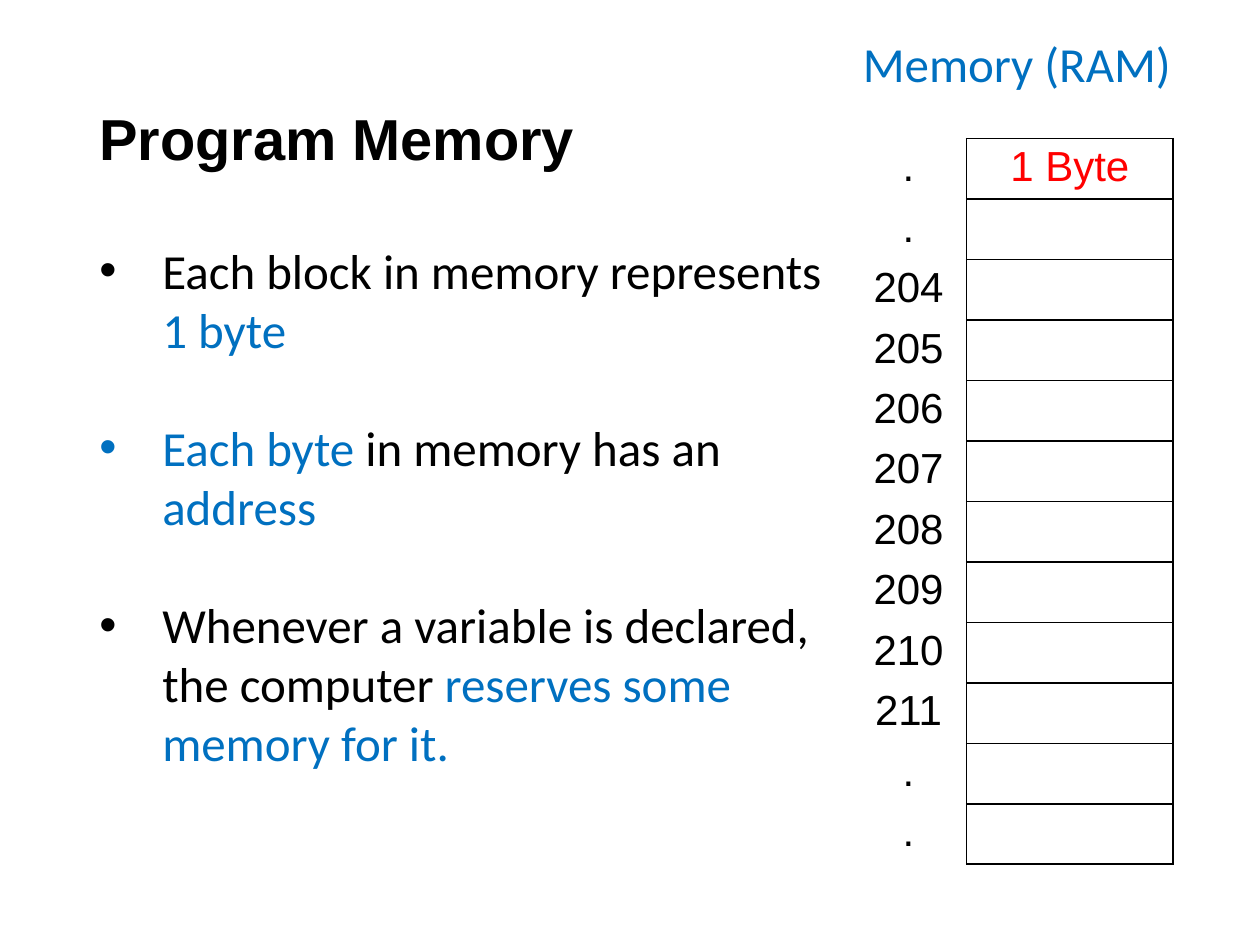
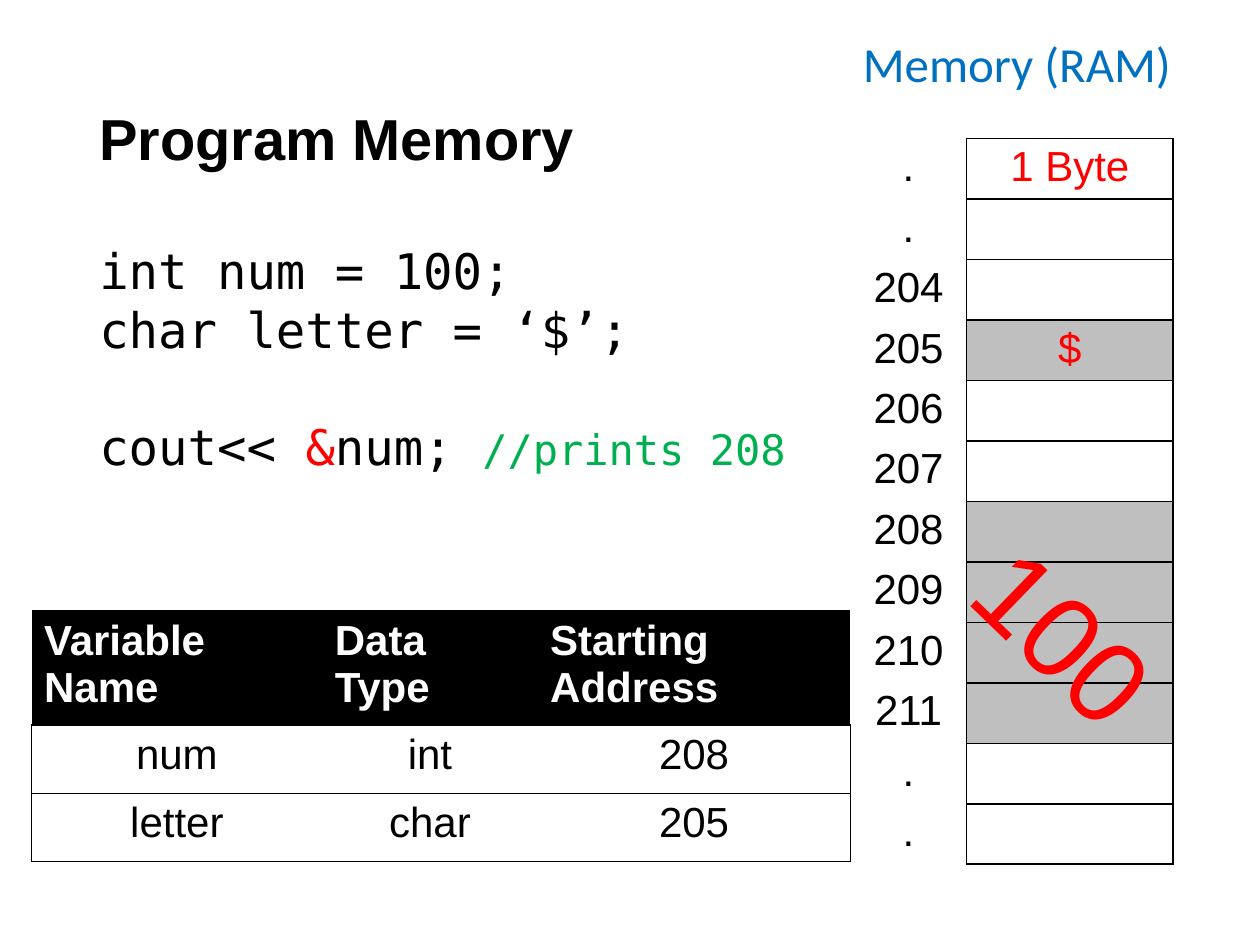
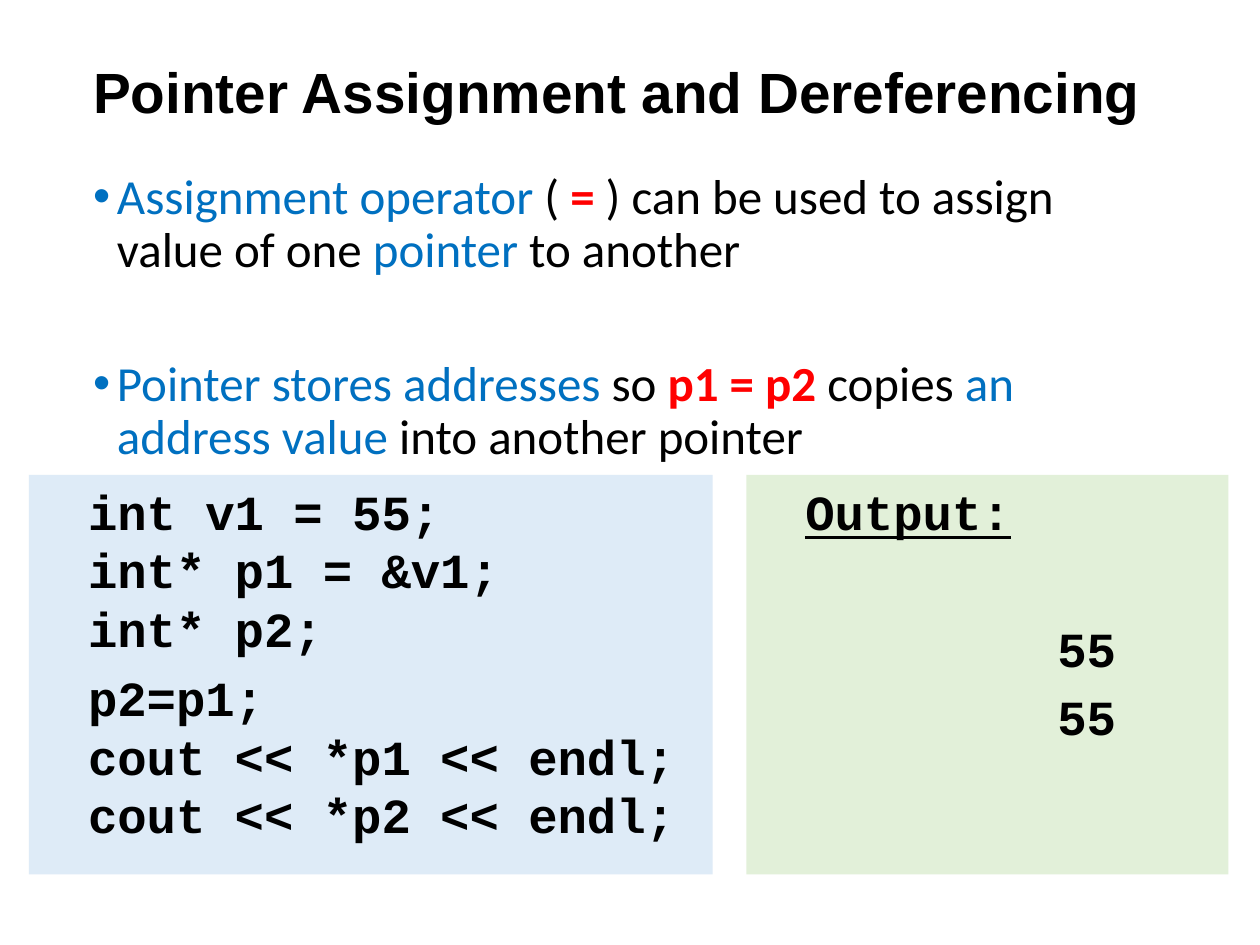
from dataclasses import dataclass
from typing import Optional

from pptx import Presentation
from pptx.dml.color import RGBColor
from pptx.enum.shapes import MSO_SHAPE
from pptx.enum.text import MSO_ANCHOR, PP_ALIGN
from pptx.oxml.ns import qn
from pptx.util import Inches, Pt
from lxml.etree import SubElement

BLACK = RGBColor(0x00, 0x00, 0x00)
WHITE = RGBColor(0xFF, 0xFF, 0xFF)
BLUE = RGBColor(0x00, 0x70, 0xC0)
RED = RGBColor(0xFF, 0x00, 0x00)
GREEN = RGBColor(0x00, 0xB0, 0x50)
GREY = RGBColor(0xBF, 0xBF, 0xBF)
PALE_BLUE = RGBColor(0xDE, 0xEB, 0xF7)
PALE_GREEN = RGBColor(0xE2, 0xF0, 0xD9)

HEADING_FONT = "Arial"
BODY_FONT = "Calibri"
CODE_FONT = "Courier New"
MONO_FONT = "DejaVu Sans Mono"

GRID = Inches(0.1)
COLUMNS, ROWS = 100, 75
BODY_SIZE = 28
TABLE_SIZE = 24
CODE_LINE = Pt(33.6)
CODE_GAP = 5.6
NO_TABLE_STYLE = "{2D5ABB26-0587-4C30-8999-92F81FD0307C}"
MEMORY_TITLE_BOX = (6.9, 4, 86.2, 14.5)
ADDRESSES = [".", ".", *map(str, range(204, 212)), ".", "."]


@dataclass
class Span:
    text: str
    color: RGBColor = BLACK
    bold: Optional[bool] = None
    size: Optional[float] = None


def grid(*cells):
    return [round(cell * GRID) for cell in cells]


def write(paragraph, spans, font_name, size, bold=None, align=PP_ALIGN.LEFT,
          before=0, line=None, indent=0, hanging=0):
    paragraph.alignment = align
    paragraph.space_before = Pt(before)
    if line:
        paragraph.line_spacing = line
    properties = paragraph._p.get_or_add_pPr()
    properties.set("marL", str(Inches(indent)))
    properties.set("indent", str(-Inches(hanging)))
    if hanging:
        SubElement(properties, qn("a:buFont"), typeface="Arial")
        SubElement(properties, qn("a:buChar"), char="•")
    paragraph.font.name = font_name
    paragraph.font.size = Pt(size)
    paragraph.font.bold = bold
    for span in spans:
        for index, text in enumerate(span.text.split("\n")):
            if index:
                paragraph.add_line_break()
            run = paragraph.add_run()
            run.text = text
            run.font.color.rgb = span.color
            if span.bold is not None:
                run.font.bold = span.bold
            if span.size:
                run.font.size = Pt(span.size)


def next_paragraph(frame, index):
    return frame.add_paragraph() if index else frame.paragraphs[0]


def add_text(slide, box, paragraphs, font_name, size, gaps=None, wrap=True,
             anchor=MSO_ANCHOR.TOP, **style):
    shape = slide.shapes.add_textbox(*grid(*box))
    frame = shape.text_frame
    frame.word_wrap = wrap
    frame.vertical_anchor = anchor
    gaps = gaps or [0] * len(paragraphs)
    for index, (spans, before) in enumerate(zip(paragraphs, gaps)):
        write(next_paragraph(frame, index), spans, font_name, size,
              before=before, **style)
    return shape


def add_title(slide, box, text, size):
    add_text(slide, box, [[Span(text)]], HEADING_FONT, size,
             anchor=MSO_ANCHOR.MIDDLE, bold=True, line=0.9)


def add_plain_table(slide, box, widths, heights):
    table = slide.shapes.add_table(len(heights), len(widths), *grid(*box)).table
    table.first_row = table.horz_banding = False
    table._tbl.tblPr.find(qn("a:tableStyleId")).text = NO_TABLE_STYLE
    for column, width in zip(table.columns, grid(*widths)):
        column.width = width
    for row, height in zip(table.rows, grid(*heights)):
        row.height = height
    return table


def format_cell(cell, text, color=BLACK, fill=None, borders="", width=1,
                bold=False, align=PP_ALIGN.CENTER):
    if text:
        write(cell.text_frame.paragraphs[0], [Span(text, color)], HEADING_FONT,
              TABLE_SIZE, bold=bold, align=align)
    properties = cell._tc.get_or_add_tcPr()
    for side in borders:
        line = SubElement(properties, qn(f"a:ln{side}"), w=str(Pt(width)))
        line_fill = SubElement(line, qn("a:solidFill"))
        SubElement(line_fill, qn("a:srgbClr"), val=str(BLACK))
    if fill is None:
        cell.fill.background()
    else:
        cell.fill.solid()
        cell.fill.fore_color.rgb = fill


def add_memory(slide, box, contents, reserved=()):
    left, top, width, height = box
    add_text(slide, (left, top - 8.8, width + 1.2, 5.7),
             [[Span("Memory (RAM)", BLUE)]], BODY_FONT, BODY_SIZE, wrap=False)
    address_width = 0.36 * width
    table = add_plain_table(slide, box, (address_width, width - address_width),
                            [height / len(ADDRESSES)] * len(ADDRESSES))
    for row, address in enumerate(ADDRESSES):
        address_cell, block = table.cell(row, 0), table.cell(row, 1)
        for cell in (address_cell, block):
            cell.margin_top = cell.margin_bottom = Inches(0.04)
        format_cell(address_cell, address, borders="R")
        format_cell(block, contents.get(row), RED,
                    GREY if address in reserved else None, "LRTB")


def add_variables(slide, box, records):
    left, top, width, height = box
    widths = [share * width for share in (0.355, 0.263, 0.382)]
    heights = [share * height for share in (0.456, 0.272, 0.272)]
    table = add_plain_table(slide, box, widths, heights)
    last = len(widths) - 1
    for row, record in enumerate(records):
        for column, text in enumerate(record):
            cell = table.cell(row, column)
            if row == 0:
                format_cell(cell, text, WHITE, BLACK, "TB", bold=True,
                            align=PP_ALIGN.LEFT)
            else:
                sides = ("L" if column == 0 else "") + ("R" if column == last else "")
                format_cell(cell, text, borders=sides + "TB", width=0.5)


def add_code_panel(slide, box, fill, lines):
    panel = slide.shapes.add_shape(MSO_SHAPE.RECTANGLE, *grid(*box))
    panel.shadow.inherit = False
    panel.fill.solid()
    panel.fill.fore_color.rgb = fill
    panel.line.fill.background()
    frame = panel.text_frame
    frame.word_wrap = True
    frame.vertical_anchor = MSO_ANCHOR.TOP
    for index, (text, indent, before) in enumerate(lines):
        write(next_paragraph(frame, index), [Span(text)], CODE_FONT, BODY_SIZE,
              bold=True, before=before, line=CODE_LINE, indent=indent)
    return panel


def build_memory_slide(slide, box):
    add_title(slide, MEMORY_TITLE_BOX, "Program Memory", 33)
    add_memory(slide, box, {0: "1 Byte"})
    add_text(slide, (6.9, 18.6, 60.6, 43.4), [
        [Span("Each block in memory represents "), Span("1 byte", BLUE)],
        [Span("Each byte ", BLUE), Span("in memory has an "), Span("address", BLUE)],
        [Span("Whenever a variable is declared, the computer "),
         Span("reserves some memory for it.", BLUE)],
    ], BODY_FONT, BODY_SIZE, gaps=(0, 34, 34), indent=0.5, hanging=0.5)


def build_address_slide(slide, box):
    add_title(slide, MEMORY_TITLE_BOX, "Program Memory", 33)
    add_memory(slide, box, {0: "1 Byte", ADDRESSES.index("205"): "$"},
               ("205", "208", "209", "210", "211"))
    add_text(slide, (6.9, 18.6, 62.3, 19.9), [
        [Span("int num = 100;")],
        [Span("char letter = ‘$’;")],
        [Span("cout<< "), Span("&", RED), Span("num; "),
         Span("//prints 208", GREEN, size=24)],
    ], MONO_FONT, BODY_SIZE, gaps=(0, 0, 33.6), line=CODE_LINE)
    value = add_text(slide, (75.9, 44.4, 17.5, 12.1), [[Span("100", RED)]],
                     HEADING_FONT, 66, wrap=False)
    value.rotation = 44.1
    add_variables(slide, (2.5, 48.5, 65, 19.85), [
        ("Variable Name", "Data Type", "Starting Address"),
        ("num", "int", "208"),
        ("letter", "char", "205"),
    ])


def build_pointer_slide(slide, box):
    left, top, width, height = box
    add_title(slide, (6.4, 1.9, 87.8, 11.3),
              "Pointer Assignment and Dereferencing", 32.4)
    add_text(slide, (6.4, 13.2, 85.6, 27.2), [
        [Span("Assignment operator ", BLUE), Span("( "), Span("= ", RED, True),
         Span(") can be used to assign value of one "), Span("pointer", BLUE),
         Span(" to another")],
        [Span("Pointer stores addresses ", BLUE), Span("so "),
         Span("p1 = p2 ", RED, True), Span("copies "),
         Span("an address value", BLUE), Span(" into another pointer")],
    ], BODY_FONT, BODY_SIZE, gaps=(7.5, 46), line=0.9, indent=0.19, hanging=0.19)
    code_width, output_width = 0.57 * width, 0.402 * width
    add_code_panel(slide, (left, top, code_width, height), PALE_BLUE, [
        ("int v1 = 55;\nint* p1 = &v1;\nint* p2;", 0.37, CODE_GAP),
        ("p2=p1;\ncout << *p1 << endl;\ncout << *p2 << endl;", 0.37, CODE_GAP),
    ])
    output = add_code_panel(
        slide, (left + width - output_width, top, output_width, height), PALE_GREEN, [
            ("Output:", 0.37, CODE_GAP),
            ("55", 2.37, 44.8),
            ("55", 2.37, CODE_GAP),
        ])
    output.text_frame.paragraphs[0].runs[0].font.underline = True


def main():
    presentation = Presentation()
    presentation.slide_width, presentation.slide_height = grid(COLUMNS, ROWS)
    blank = presentation.slide_layouts[6]
    memory_box = (67.5, 11, 25.6, 56.7)
    for build, box in [
        (build_memory_slide, memory_box),
        (build_address_slide, memory_box),
        (build_pointer_slide, (2.3, 37.7, 95.2, 31.7)),
    ]:
        build(presentation.slides.add_slide(blank), box)
    presentation.save("out.pptx")


if __name__ == "__main__":
    main()
